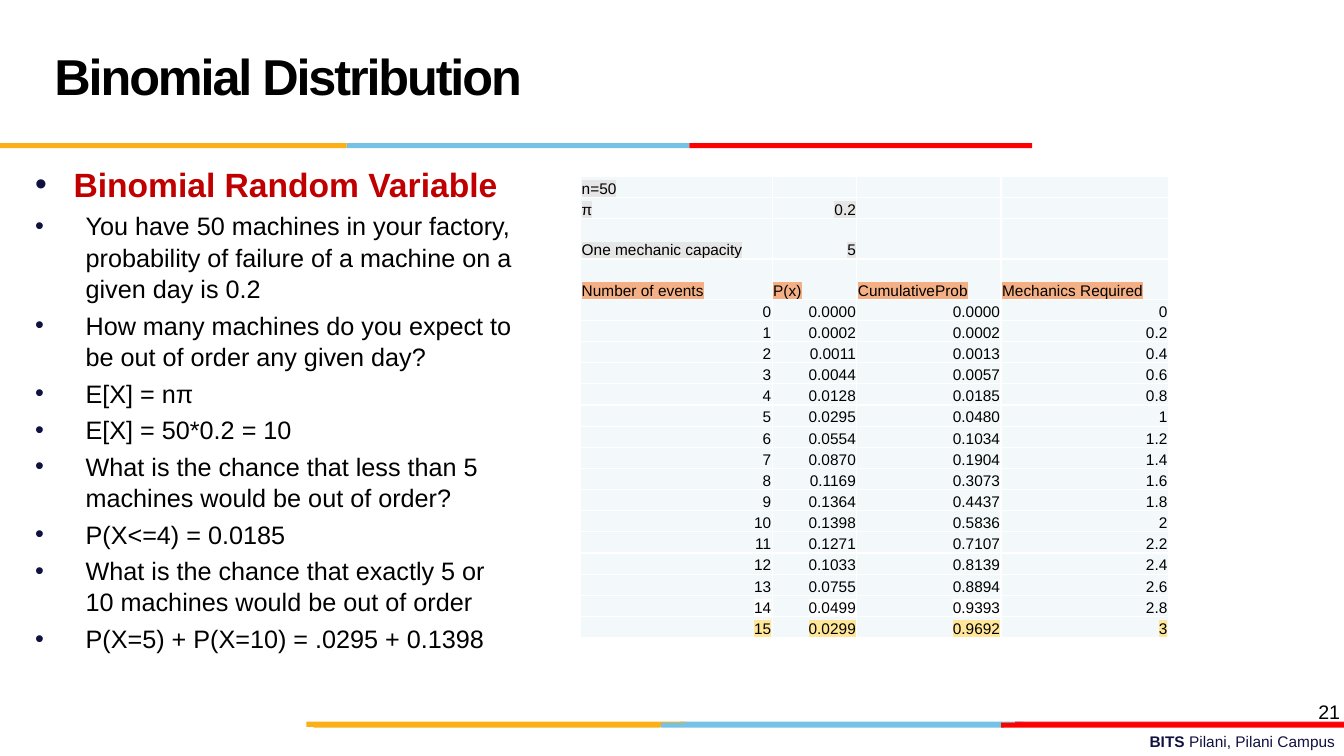
import math

import pptx
import pptx.util
import pptx.dml.color
import pptx.enum.shapes
import pptx.enum.text
from lxml import etree

RGB = pptx.dml.color.RGBColor
BLACK = RGB(0x00, 0x00, 0x00)
WHITE = RGB(0xFF, 0xFF, 0xFF)
NAVY = RGB(0x10, 0x11, 0x41)
CRIMSON = RGB(0xC0, 0x00, 0x00)
AMBER = RGB(0xFC, 0xB0, 0x17)
SKY = RGB(0x76, 0xC2, 0xE5)
BRICK = RGB(0xE3, 0x1C, 0x24)
RED = RGB(0xFF, 0x00, 0x00)
PALE = RGB(0xF3, 0xF9, 0xFA)
GREY = RGB(0xE7, 0xE6, 0xE6)
ORANGE = RGB(0xF4, 0xB0, 0x84)
YELLOW = RGB(0xFF, 0xE6, 0x99)
A = "{http://schemas.openxmlformats.org/drawingml/2006/main}"
ALIGN = pptx.enum.text.PP_ALIGN
ANCHOR = pptx.enum.text.MSO_ANCHOR

prs = pptx.Presentation()
prs.slide_width = pptx.util.Inches(13.33)
prs.slide_height = pptx.util.Inches(7.5)
COL = prs.slide_width / 100
ROW = prs.slide_height / 100
s = prs.slides.add_slide(prs.slide_layouts[5])


def box(left, top, width, height):
    return round(left * COL), round(top * ROW), round(width * COL), round(height * ROW)


def write(p, text, size=18, color=BLACK, bold=False, align=ALIGN.LEFT, highlight=None):
    p.alignment = align
    r = p.add_run()
    r.text = text
    r.font.size = pptx.util.Pt(size)
    r.font.bold = bold
    r.font.color.rgb = color
    if highlight is not None:
        mark = etree.SubElement(r.font._element, A + "highlight")
        etree.SubElement(mark, A + "srgbClr", val=str(highlight))
    r.font.name = "Arial"
    return r


bars = [
    (50.64, 95.47, 25.5, SKY), (75.54, 95.47, 24.46, BRICK), (22.8, 95.47, 28.2, AMBER),
    (49.2, 95.6, 25.5, SKY), (23.33, 95.6, 25.8, AMBER), (74.5, 95.6, 25.5, RED),
    (25.8, 18.93, 25.5, SKY), (0, 18.93, 25.8, AMBER), (51.3, 18.93, 25.5, RED),
]
for left, top, width, color in bars:
    sp = s.shapes.add_shape(pptx.enum.shapes.MSO_SHAPE.RECTANGLE, *box(left, top, width, 0.67))
    sp.shadow.inherit = False
    sp.fill.solid()
    sp.fill.fore_color.rgb = color
    sp.line.fill.background()

title = s.shapes.title
title.left, title.top, title.width, title.height = box(3.3, 2.27, 83.57, 16.67)
title.text_frame.vertical_anchor = ANCHOR.MIDDLE
p = title.text_frame.paragraphs[0]
r = write(p, "Binomial Distribution", size=36, bold=True)
r.font._element.set("spc", "-150")
p.line_spacing = pptx.util.Pt(36)

tf = s.shapes.add_textbox(*box(35.86, 96.13, 64.22, 3.87)).text_frame
tf.word_wrap = True
write(tf.paragraphs[0], "BITS ", size=11, color=NAVY, bold=True, align=ALIGN.RIGHT)
write(tf.paragraphs[0], "Pilani, Pilani Campus", size=11, color=NAVY, align=ALIGN.RIGHT)

tf = s.shapes.add_textbox(*box(77.12, 91.87, 23.33, 6.93)).text_frame
tf.word_wrap = True
write(tf.paragraphs[0], "21", size=14, align=ALIGN.RIGHT)

bullets = [
    "Binomial Random Variable",
    "You have 50 machines in your factory, probability of failure of a machine on a given day is 0.2",
    "How many machines do you expect to be out of order any given day?",
    "E[X] = nπ",
    "E[X] = 50*0.2 = 10",
    "What is the chance that less than 5 machines would be out of order?",
    "P(X<=4) = 0.0185",
    "What is the chance that exactly 5 or 10 machines would be out of order",
    "P(X=5) + P(X=10) = .0295 + 0.1398",
]
tf = s.shapes.add_textbox(*box(1.88, 21.07, 37.5, 75.6)).text_frame
tf.word_wrap = True
for i, text in enumerate(bullets):
    p = tf.add_paragraph() if i else tf.paragraphs[0]
    indent = pptx.util.Inches(0.5 if i else 0.38)
    pPr = p._p.get_or_add_pPr()
    pPr.set("marL", str(indent))
    pPr.set("indent", str(-indent))
    etree.SubElement(etree.SubElement(pPr, A + "buClr"), A + "srgbClr", val=str(NAVY))
    etree.SubElement(pPr, A + "buFont", typeface="Arial")
    etree.SubElement(pPr, A + "buChar", char="•")
    if i:
        p.line_spacing = 1.04
        p.space_before = pptx.util.Pt(3.6)
        write(p, text)
    else:
        write(p, text, size=24, color=CRIMSON, bold=True)

n, chance, capacity = 50, 0.2, 5
rows = [
    ["n=50", "", "", ""],
    ["π", str(chance), "", ""],
    ["One mechanic capacity", str(capacity), "", ""],
    ["Number of events", "P(x)", "CumulativeProb", "Mechanics Required"],
]
total = 0
for k in range(16):
    prob = math.comb(n, k) * chance**k * (1 - chance) ** (n - k)
    total += prob
    rows.append([str(k), f"{prob:.4f}", f"{total:.4f}", f"{k / capacity:g}"])
highlights = {0: GREY, 1: GREY, 2: GREY, 3: ORANGE, 18: WHITE, 19: YELLOW}

table = s.shapes.add_table(len(rows), 4, *box(43.21, 23.33, 43.73, 61.06)).table
table.first_row = False
table.horz_banding = False
for column, width in zip(table.columns, (14.25, 6.3, 10.73, 12.45)):
    column.width = round(width * COL)
for i, values in enumerate(rows):
    table.rows[i].height = round((5.33 if i in (2, 3) else 2.8) * ROW)
    for j, text in enumerate(values):
        cell = table.cell(i, j)
        cell.margin_left = cell.margin_right = cell.margin_top = pptx.util.Inches(0.01)
        cell.margin_bottom = 0
        cell.vertical_anchor = ANCHOR.BOTTOM
        tcPr = cell._tc.get_or_add_tcPr()
        for side in ("lnL", "lnR", "lnT", "lnB"):
            ln = etree.SubElement(tcPr, A + side, w=str(pptx.util.Pt(1)))
            etree.SubElement(etree.SubElement(ln, A + "solidFill"), A + "srgbClr", val=str(WHITE))
        cell.fill.solid()
        cell.fill.fore_color.rgb = PALE
        p = cell.text_frame.paragraphs[0]
        if text:
            numeric = i > 3 or (j == 1 and i < 3)
            highlight = None if (i, j) == (18, 3) else highlights.get(i)
            write(p, text, size=11, align=ALIGN.RIGHT if numeric else ALIGN.LEFT, highlight=highlight)
        else:
            etree.SubElement(p._p, A + "endParaRPr", sz="1100")

prs.save("out.pptx")
